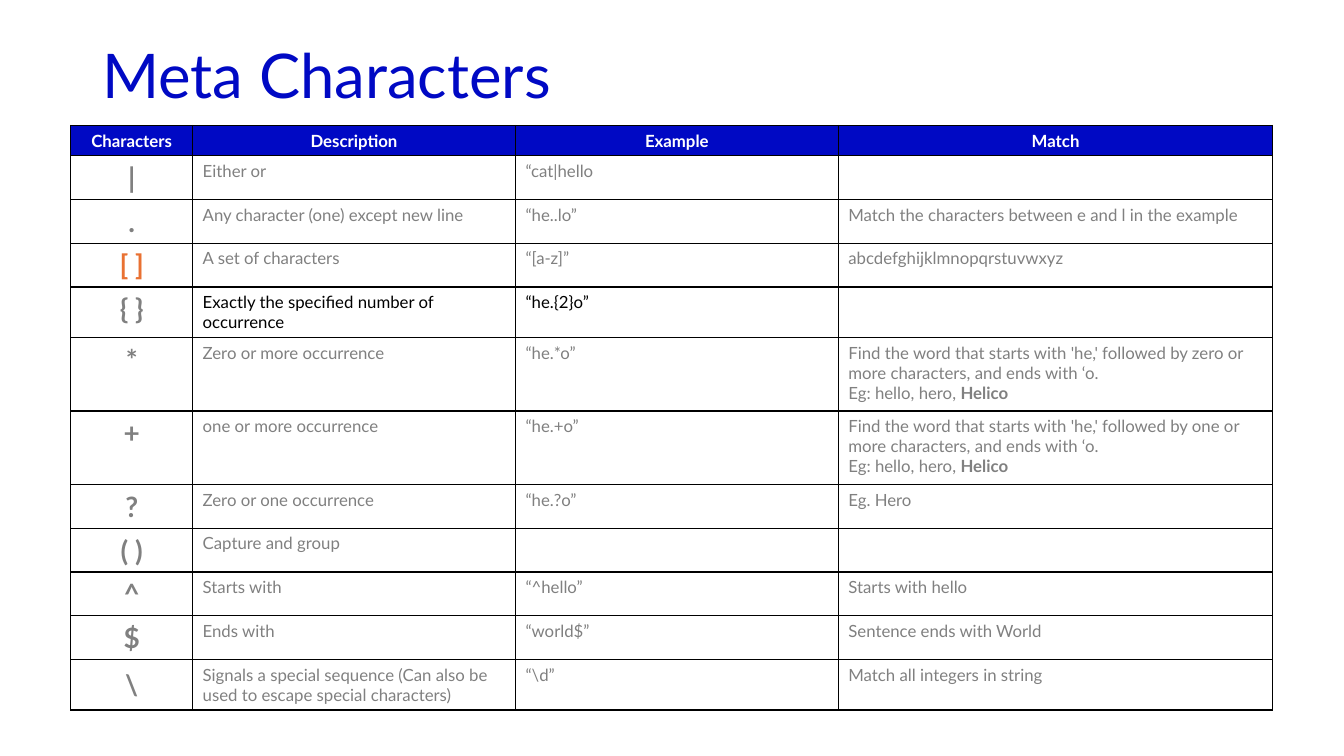
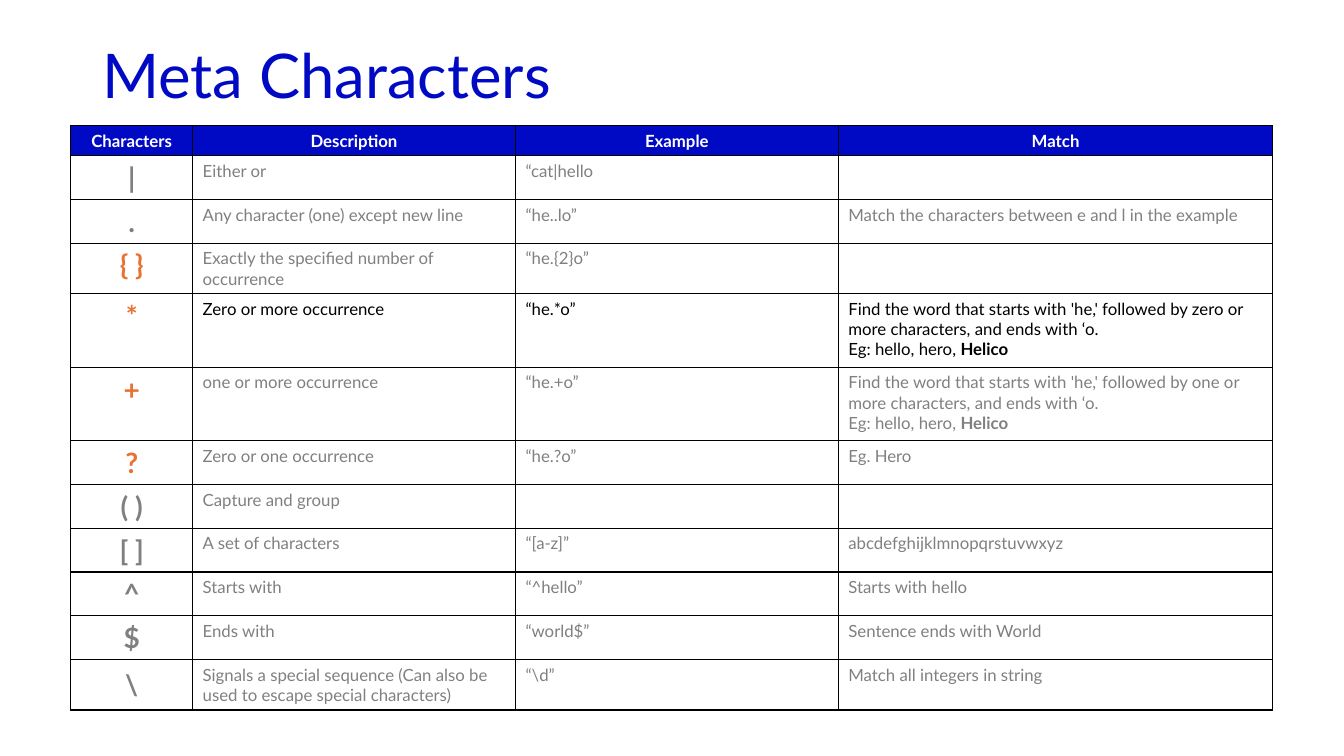
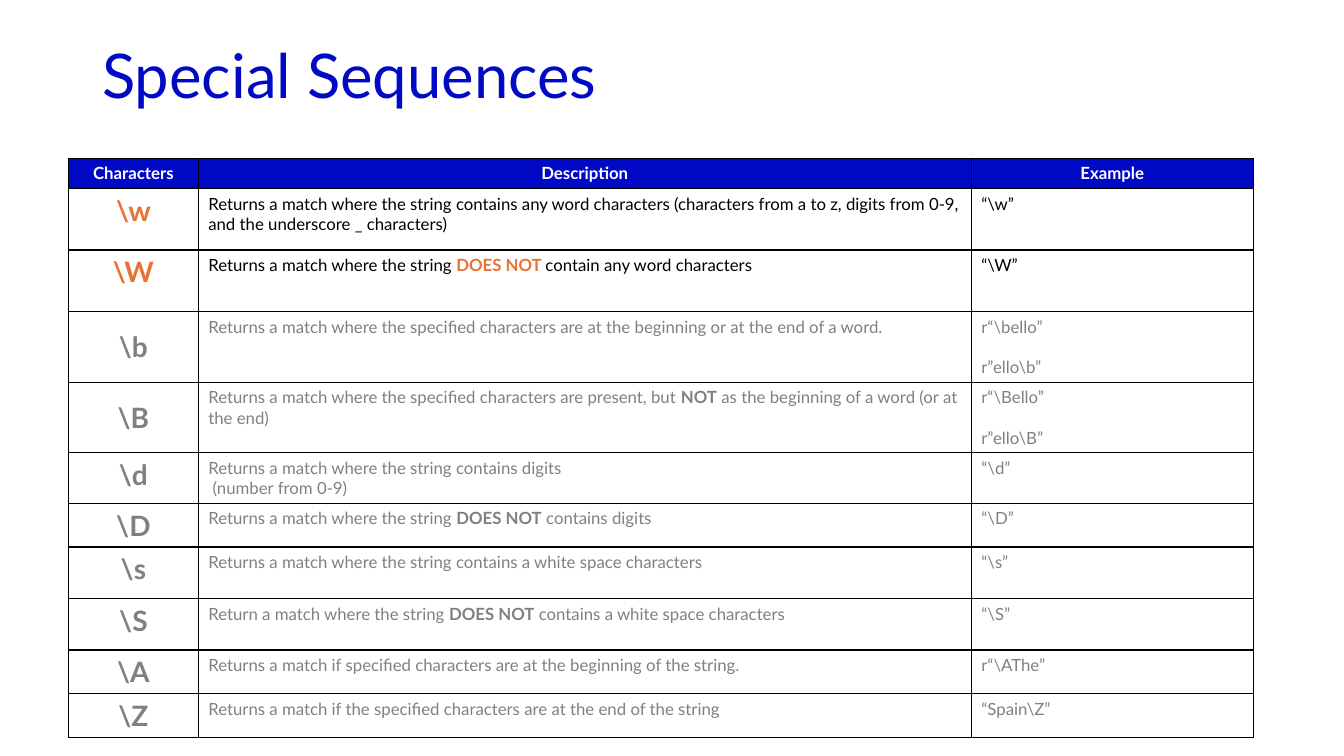
import pptx
import pptx.dml.color
import pptx.enum.text
import pptx.oxml
import pptx.oxml.ns
import pptx.util

Pt = pptx.util.Pt
PP_ALIGN = pptx.enum.text.PP_ALIGN
MSO_ANCHOR = pptx.enum.text.MSO_ANCHOR

FONT = "Lato"
BLUE, ORANGE, GRAY = "0009C4", "E97132", "808080"
BLACK, WHITE = "000000", "FFFFFF"


def rgb(value):
    return pptx.dml.color.RGBColor.from_string(value)


class Deck:
    """Builds slides with a title and a bordered reference table."""

    def __init__(self):
        self.prs = pptx.Presentation()
        self.prs.slide_width, self.prs.slide_height = Pt(960), Pt(540)
        self.s = None

    def slide(self, title):
        self.s = self.prs.slides.add_slide(self.prs.slide_layouts[6])
        tf = self.s.shapes.add_textbox(Pt(66), Pt(28.8), Pt(828), Pt(104.4)).text_frame
        tf.word_wrap = True
        p = tf.paragraphs[0]
        p.line_spacing = 0.9
        self.add_text(p, title, 44, BLUE)

    def add_text(self, p, text, size, color, bold=False, emphasis=None):
        p.font.name, p.font.size, p.font.bold = FONT, Pt(size), bold
        p.font.color.rgb = rgb(color)
        for i, part in enumerate(text.split("**")):
            if part:
                r = p.add_run()
                r.text = part
                if i % 2:
                    r.font.bold = True
                    if emphasis:
                        r.font.color.rgb = rgb(emphasis)

    def border(self, cell):
        tc_pr = cell._tc.get_or_add_tcPr()
        for side in ("lnL", "lnR", "lnT", "lnB"):
            tc_pr.append(pptx.oxml.parse_xml(
                f'<a:{side} {pptx.oxml.ns.nsdecls("a")} w="12700"><a:solidFill>'
                f'<a:srgbClr val="{BLACK}"/></a:solidFill></a:{side}>'))

    def header_cell(self, cell, text):
        self.border(cell)
        cell.fill.solid()
        cell.fill.fore_color.rgb = rgb(BLUE)
        p = cell.text_frame.paragraphs[0]
        p.alignment = PP_ALIGN.CENTER
        self.add_text(p, text, 12, WHITE, True)

    def symbol_cell(self, cell, symbol, color):
        self.border(cell)
        cell.fill.background()
        if symbol in CENTERED:
            cell.vertical_anchor = MSO_ANCHOR.MIDDLE
        p = cell.text_frame.paragraphs[0]
        p.alignment = PP_ALIGN.CENTER
        self.add_text(p, symbol, 20, color, True)

    def text_cell(self, cell, paragraphs, color, gap, emphasis):
        self.border(cell)
        cell.fill.background()
        tf = cell.text_frame
        for i, text in enumerate(paragraphs):
            p = tf.add_paragraph() if i else tf.paragraphs[0]
            if i and gap:
                p.space_before = Pt(gap)
            self.add_text(p, text, 12, color, emphasis=emphasis)

    def table(self, left, top, widths, headers, rows, marked, active, gap=0, emphasis=None):
        heights = [21] + [row[1] for row in rows]
        table = self.s.shapes.add_table(
            len(heights), len(widths), Pt(left), Pt(top), Pt(sum(widths)), Pt(sum(heights))).table
        table.first_row = table.horz_banding = False
        for column, width in zip(table.columns, widths):
            column.width = Pt(width)
        for row, height in zip(table.rows, heights):
            row.height = Pt(height)
        for i, header in enumerate(headers):
            self.header_cell(table.cell(0, i), header)
        for i, (symbol, _, *texts) in enumerate(rows, 1):
            lit = symbol in active
            self.symbol_cell(table.cell(i, 0), symbol, ORANGE if symbol in marked else GRAY)
            for j, text in enumerate(texts, 1):
                self.text_cell(table.cell(i, j), text.split("\n"), BLACK if lit else GRAY,
                               gap if j == 2 else 0, emphasis if lit else None)


CENTERED = {".", "[ ]", "\\", "\\b", "\\B", "\\A"}


def find_word(count):
    return (f"Find the word that starts with 'he,' followed by {count} or more characters, "
            "and ends with ‘o.\nEg: hello, hero, **Helico**")


META = [
    ("|", 31.2, "Either or", "“cat|hello", ""),
    (".", 31.2, "Any character (one) except new line", "“he..lo”",
     "Match the characters between e and l in the example"),
    ("[ ]", 31.2, "A set of characters", "“[a-z]”", "abcdefghijklmnopqrstuvwxyz"),
    ("{ }", 36, "Exactly the specified number of occurrence", "“he.{2}o”", ""),
    ("*", 52.6, "Zero or more occurrence", "“he.*o”", find_word("zero")),
    ("+", 52.6, "one or more occurrence", "“he.+o”", find_word("one")),
    ("?", 31.2, "Zero or one occurrence", "“he.?o”", "Eg. Hero"),
    ("( )", 31.2, "Capture and group", "", ""),
    ("^", 31.2, "Starts with", "“^hello”", "Starts with hello"),
    ("$", 31.2, "Ends with", "“world$”", "Sentence ends with World"),
    ("\\", 36, "Signals a special sequence (Can also be used to escape special characters)",
     "“\\d”", "Match all integers in string"),
]
SET_LATER = META[:2] + META[3:8] + META[2:3] + META[8:]

SEQUENCES = [
    ("\\w", 44, "Returns a match where the string contains any word characters "
     "(characters from a to z, digits from 0-9, and the underscore _ characters)", "“\\w”"),
    ("\\W", 44, "Returns a match where the string **DOES NOT **contain any word characters",
     "“\\W”"),
    ("\\b", 50.4, "Returns a match where the specified characters are at the beginning "
     "or at the end of a word.", "r“\\bello”\nr”ello\\b”"),
    ("\\B", 50.4, "Returns a match where the specified characters are present, but **NOT** "
     "as the beginning of a word (or at the end)", "r“\\Bello”\nr”ello\\B”"),
    ("\\d", 36, "Returns a match where the string contains digits\n (number from 0-9)", "“\\d”"),
    ("\\D", 31.2, "Returns a match where the string **DOES NOT** contains digits", "“\\D”"),
    ("\\s", 36.8, "Returns a match where the string contains a white space characters", "“\\s”"),
    ("\\S", 36.8, "Return a match where the string **DOES NOT** contains a white space characters",
     "“\\S”"),
    ("\\A", 31.2, "Returns a match if specified characters are at the beginning of the string.",
     "r“\\AThe”"),
    ("\\Z", 31.2, "Returns a match if the specified characters are at the end of the string",
     "“Spain\\Z”"),
]
HEADERS = ["Characters", "Description", "Example", "Match"]


def main():
    deck = Deck()
    for rows, marked, active in (
            (META, {"[ ]"}, {"{ }"}),
            (SET_LATER, {"{ }", "*", "+", "?"}, {"*"})):
        deck.slide("Meta Characters")
        deck.table(50.6, 89.6, [87, 230.6, 230.6, 310.4], HEADERS, rows, marked, active)
    deck.slide("Special Sequences")
    word = {"\\w", "\\W"}
    deck.table(49, 113, [92.6, 552.2, 201.4], HEADERS[:3], SEQUENCES, word, word,
               gap=14.4, emphasis=ORANGE)
    deck.prs.save("out.pptx")


if __name__ == "__main__":
    main()
